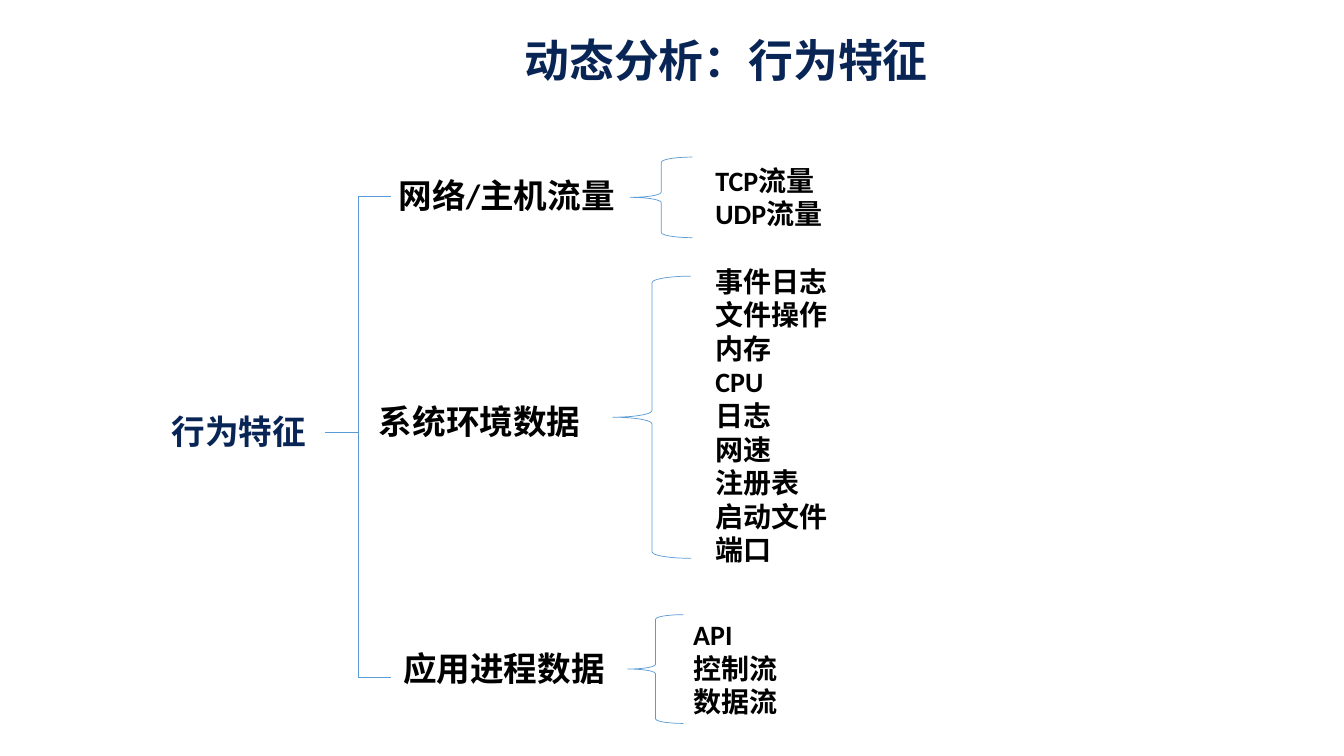
from pptx import Presentation
from pptx.dml.color import RGBColor
from pptx.enum.shapes import MSO_SHAPE
from pptx.enum.text import MSO_AUTO_SIZE, PP_ALIGN
from pptx.oxml.ns import qn
from pptx.util import Cm, Pt
from lxml.etree import SubElement

NAVY = RGBColor(0x08, 0x25, 0x55)
BLACK = RGBColor(0, 0, 0)
BRACE_BLUE = RGBColor(0x5B, 0x9B, 0xD5)
CHINESE_FONT = "Noto Sans CJK SC"
LATIN_FONT = "Calibri"

# Each branch: label, label place, brace place, items, items place
BRANCHES = [
    ("网络/主机流量", (9.8, 4.29, 6.63, 1.27), (15.88, 3.96, 1.57, 2.03),
     ["TCP流量", "UDP流量"], (17.78, 3.99, 4.11, 1.96)),
    ("系统环境数据", (9.3, 9.98, 5.79, 1.27), (15.44, 6.96, 1.98, 7.11),
     ["事件日志", "文件操作", "内存", "CPU", "日志", "网速", "注册表", "启动文件", "端口"],
     (17.78, 6.53, 6.1, 7.95)),
    ("应用进程数据", (9.91, 16.21, 5.92, 1.27), (15.82, 15.49, 1.4, 2.74),
     ["API", "控制流", "数据流"], (17.22, 15.44, 4.11, 2.82)),
]


def add_text(page, place, lines, size, color=BLACK, font=LATIN_FONT, align=PP_ALIGN.LEFT):
    box = page.shapes.add_textbox(*map(Cm, place))
    frame = box.text_frame
    frame.word_wrap = True
    frame.auto_size = MSO_AUTO_SIZE.SHAPE_TO_FIT_TEXT
    frame.text = "\n".join(lines)
    for para in frame.paragraphs:
        para.alignment = align
        para.font.size = Pt(size)
        para.font.bold = True
        para.font.color.rgb = color
        para.font.name = font
        properties = para._p.pPr.find(qn("a:defRPr"))
        SubElement(properties, qn("a:ea")).set("typeface", CHINESE_FONT)


def add_heading(page, place, text, size):
    add_text(page, place, [text], size, NAVY, CHINESE_FONT, PP_ALIGN.CENTER)


def add_brace(page, place, curve=0.08333, tip=0.5):
    """Draw a left brace; curve rounds its corners, tip sets the height of its point."""
    brace = page.shapes.add_shape(MSO_SHAPE.LEFT_BRACE, *map(Cm, place))
    brace.adjustments[0] = curve
    brace.adjustments[1] = tip
    brace.shadow.inherit = False
    brace.fill.background()
    brace.line.color.rgb = BRACE_BLUE
    brace.line.width = Pt(0.5)


def main():
    deck = Presentation()
    deck.slide_width, deck.slide_height = Cm(33.87), Cm(19.05)
    page = deck.slides.add_slide(deck.slide_layouts[6])

    add_heading(page, (6.15, 0.71, 24.31, 1.63), "动态分析：行为特征", 32)
    add_heading(page, (3.91, 10.24, 4.22, 1.27), "行为特征", 24)
    add_brace(page, (8.2, 4.95, 1.65, 12.12), curve=0, tip=0.49)
    for label, label_place, brace_place, items, items_place in BRANCHES:
        add_text(page, label_place, [label], 24)
        add_brace(page, brace_place)
        add_text(page, items_place, items, 20)

    deck.save("out.pptx")


if __name__ == "__main__":
    main()
